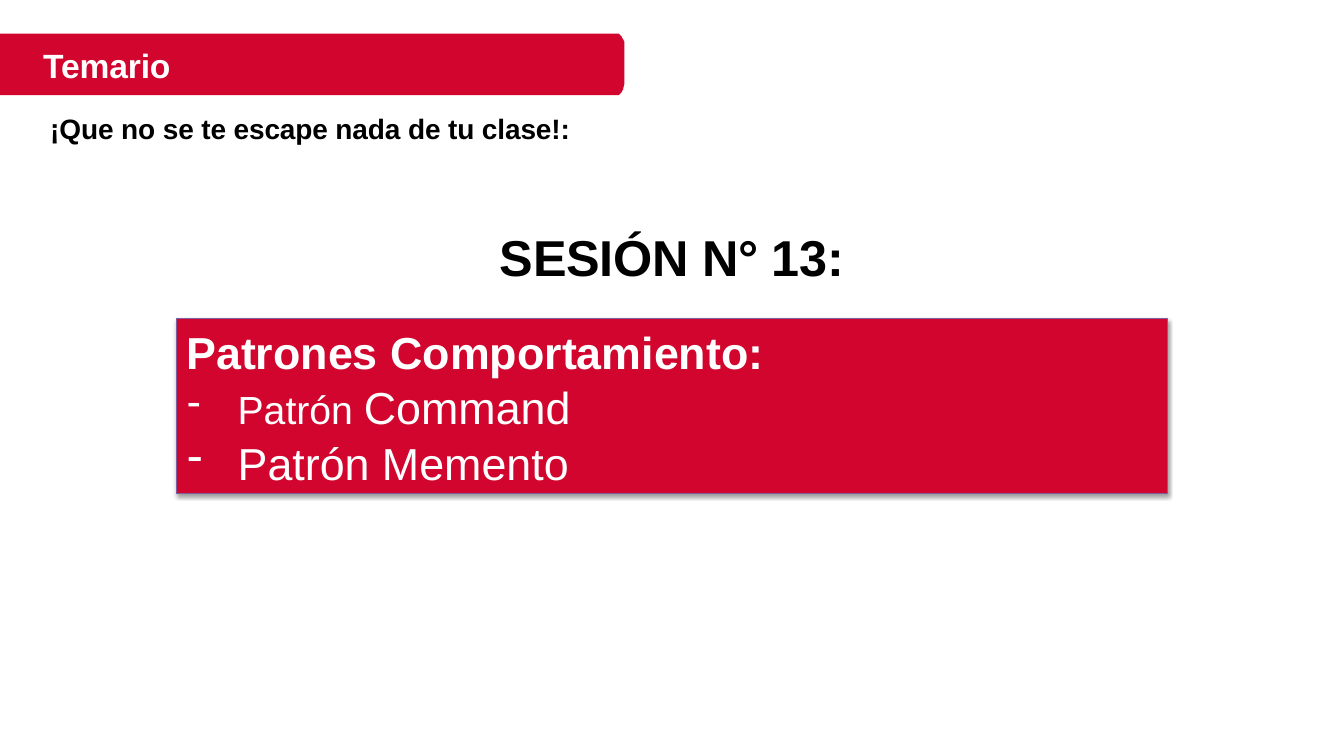
from lxml import etree
from pptx import Presentation
from pptx.dml.color import RGBColor
from pptx.enum.shapes import MSO_SHAPE
from pptx.enum.text import MSO_ANCHOR, PP_ALIGN
from pptx.oxml import parse_xml
from pptx.oxml.ns import nsdecls, qn
from pptx.util import Pt

RECTANGLE = MSO_SHAPE.RECTANGLE
TOP = MSO_ANCHOR.TOP
LEFT, CENTER = PP_ALIGN.LEFT, PP_ALIGN.CENTER
RED = RGBColor(0xD1, 0x05, 0x2D)
PURPLE = RGBColor(0x7D, 0x60, 0xA0)
WHITE = RGBColor(0xFF, 0xFF, 0xFF)
BLACK = RGBColor(0, 0, 0)
FONT = "Arial"

BANNER_OUTLINE = [
    (440, 68.2), (0, 68.2), (0, 24), (440, 24), (441.5, 24.3), (444.3, 26),
    (445.7, 30), (445.7, 60.5), (445.2, 63.5), (444, 66), (442, 67.7),
]


def format_run(run, size, color, bold, spacing=0):
    run.font.name = FONT
    run.font.size = Pt(size)
    run.font.bold = bold
    run.font.color.rgb = color
    if spacing:
        run._r.get_or_add_rPr().set("spc", str(round(spacing * 100)))


def add_label(slide, text, box, size, color, spacing, align=LEFT, insets=(7.2, 3.6)):
    shape = slide.shapes.add_textbox(*[Pt(length) for length in box])
    frame = shape.text_frame
    frame.word_wrap = True
    frame.margin_left = frame.margin_right = Pt(insets[0])
    frame.margin_top = frame.margin_bottom = Pt(insets[1])
    frame.text = text
    paragraph = frame.paragraphs[0]
    paragraph.alignment = align
    format_run(paragraph.runs[0], size, color, True, spacing)


def add_banner(slide):
    builder = slide.shapes.build_freeform(*BANNER_OUTLINE[0], scale=Pt(1))
    builder.add_line_segments(BANNER_OUTLINE[1:], close=True)
    shape = builder.convert_to_shape()
    shape.shadow.inherit = False
    shape.fill.solid()
    shape.fill.fore_color.rgb = RED
    shape.line.fill.background()


def add_drop_shadow(shape):
    shape.shadow.inherit = False
    effects = shape._element.spPr.find(qn("a:effectLst"))
    effects.append(parse_xml(
        f'<a:outerShdw {nsdecls("a")} blurRad="{Pt(3.1)}" dist="{Pt(1.6)}" '
        'dir="5400000" rotWithShape="0"><a:srgbClr val="000000">'
        '<a:alpha val="38000"/></a:srgbClr></a:outerShdw>'))


def add_dash(paragraph):
    properties = paragraph._p.get_or_add_pPr()
    properties.set("marL", str(Pt(36.7)))
    properties.set("indent", str(Pt(-36)))
    etree.SubElement(properties, qn("a:buFontTx"))
    etree.SubElement(properties, qn("a:buChar")).set("char", "-")


def add_topics(slide, box, heading, topics):
    shape = slide.shapes.add_shape(RECTANGLE, *[Pt(length) for length in box])
    shape.fill.solid()
    shape.fill.fore_color.rgb = RED
    shape.line.color.rgb = PURPLE
    shape.line.width = Pt(0.75)
    add_drop_shadow(shape)

    frame = shape.text_frame
    frame.word_wrap = True
    frame.vertical_anchor = TOP
    frame.margin_left = Pt(7.9)
    frame.margin_top = Pt(4.6)
    frame.text = heading
    frame.paragraphs[0].alignment = LEFT
    format_run(frame.paragraphs[0].runs[0], 32, WHITE, True)
    for topic in topics:
        paragraph = frame.add_paragraph()
        paragraph.alignment = LEFT
        paragraph.space_before = Pt(1)
        add_dash(paragraph)
        for text, size in topic:
            run = paragraph.add_run()
            run.text = text
            format_run(run, size, WHITE, False)
    frame.margin_left = Pt(7.2)


def main():
    presentation = Presentation()
    presentation.slide_width = Pt(960)
    presentation.slide_height = Pt(540)
    slide = presentation.slides.add_slide(presentation.slide_layouts[6])

    add_topics(slide, (126, 227.5, 707.8, 125.3), "Patrones Comportamiento:", [
        [("Patrón ", 28), ("Command", 32)],
        [("Patrón Memento", 32)],
    ])
    add_label(slide, "SESIÓN N° 13:", (321, 157, 318.2, 51), 36, BLACK, -0.2,
              align=CENTER, insets=(7.2, 4.6))
    add_banner(slide)
    add_label(slide, "Temario", (30.9, 30.2, 372.2, 30.2), 24, WHITE, -0.1,
              insets=(0, 1.7))
    add_label(slide, "¡Que no se te escape nada de tu clase!:",
              (28.8, 76.3, 422, 31.7), 20, BLACK, -0.1)
    presentation.save("out.pptx")


if __name__ == "__main__":
    main()
